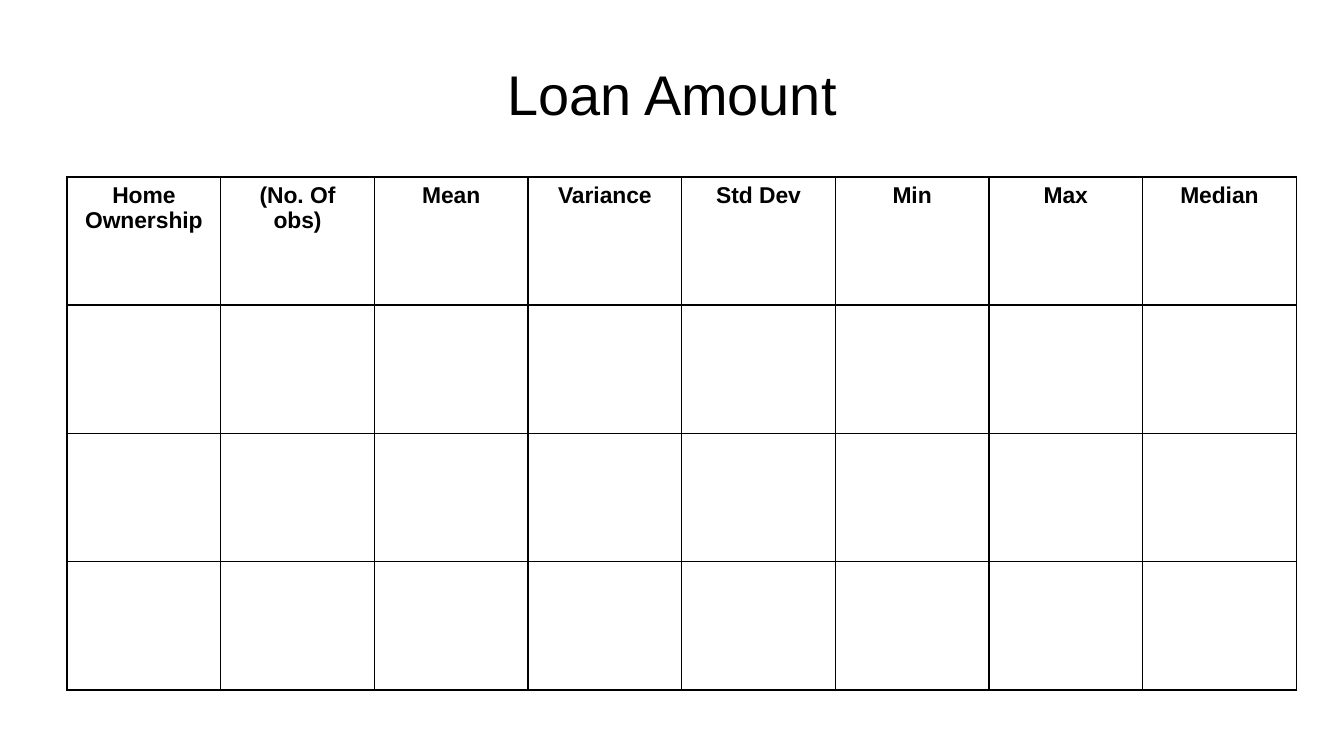
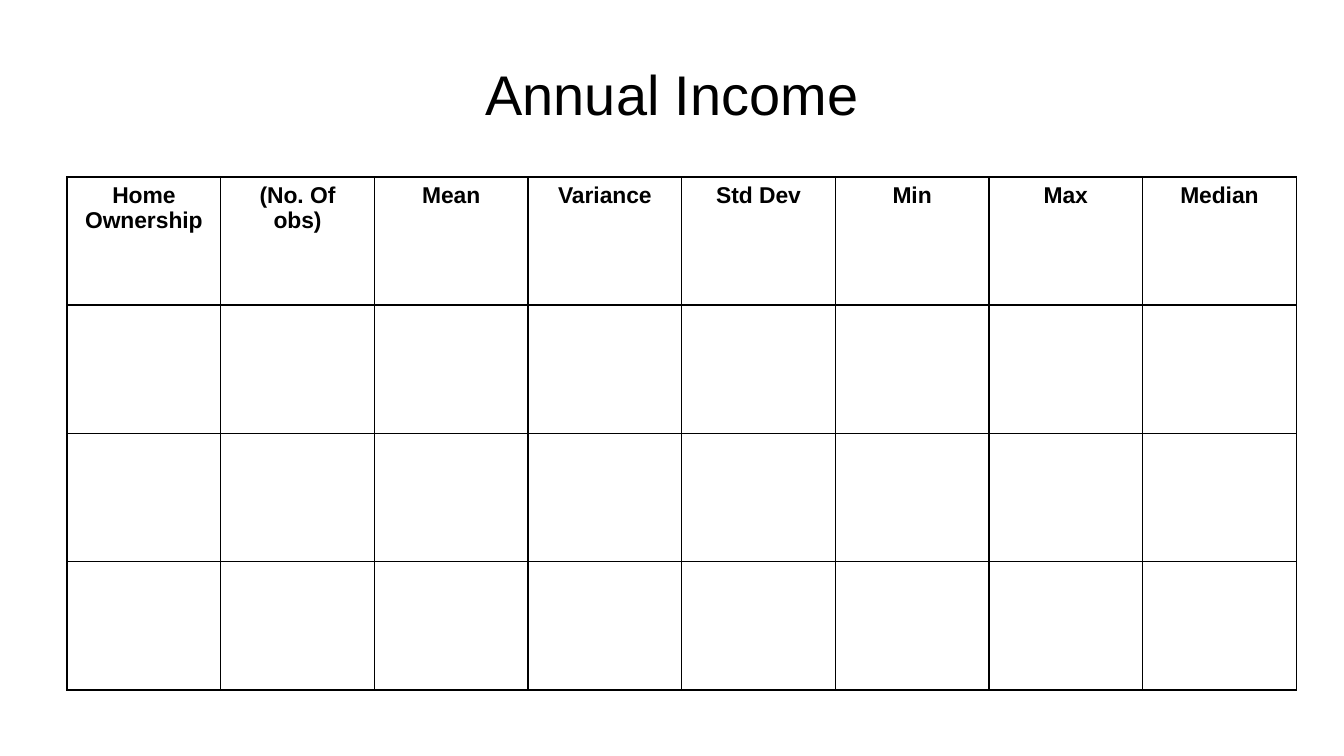
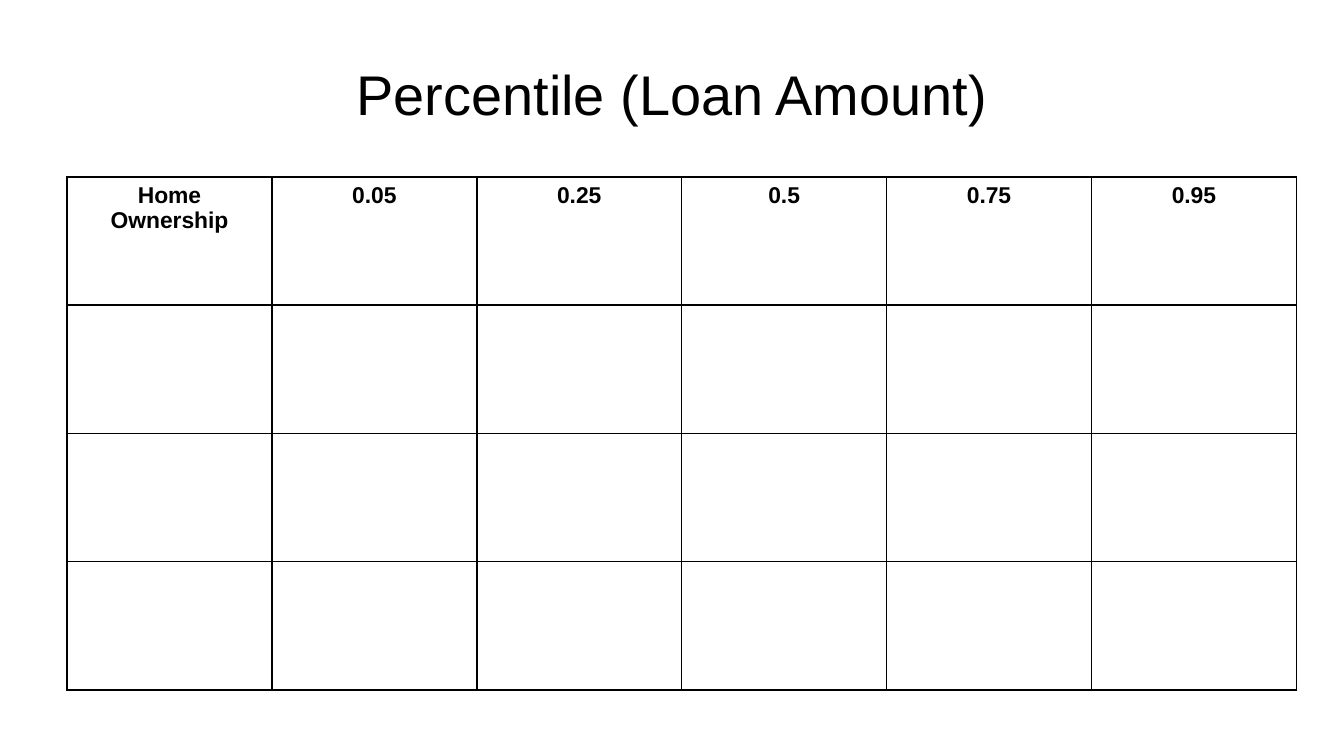
from dataclasses import dataclass

from lxml.etree import SubElement
from pptx import Presentation
from pptx.dml.color import RGBColor
from pptx.enum.text import MSO_ANCHOR, PP_ALIGN
from pptx.oxml.ns import qn
from pptx.util import Inches, Pt


@dataclass(frozen=True)
class Theme:
    font: str = "Arial"
    ink: str = "000000"
    paper: str = "FFFFFF"
    title_size: float = 33
    header_size: float = 13.5
    border: float = 1


theme = Theme()


def write_centred(text_frame, text, size, bold=False):
    text_frame.text = text
    para = text_frame.paragraphs[0]
    para.alignment = PP_ALIGN.CENTER
    font = para.runs[0].font
    font.name = theme.font
    font.size = Pt(size)
    font.bold = bold
    font.color.rgb = RGBColor.from_string(theme.ink)


def style_cell(cell):
    properties = cell._tc.get_or_add_tcPr()
    for side in ("a:lnL", "a:lnR", "a:lnT", "a:lnB"):
        line = SubElement(properties, qn(side), w=str(Pt(theme.border)))
        fill = SubElement(line, qn("a:solidFill"))
        SubElement(fill, qn("a:srgbClr"), val=theme.ink)
    cell.fill.solid()
    cell.fill.fore_color.rgb = RGBColor.from_string(theme.paper)


summary_headers = [
    "Home Ownership", "(No. Of obs)", "Mean", "Variance",
    "Std Dev", "Min", "Max", "Median",
]
percentile_headers = ["Home Ownership", "0.05", "0.25", "0.5", "0.75", "0.95"]
pages = [
    ("Loan Amount", summary_headers),
    ("Annual Income", summary_headers),
    ("Percentile (Loan Amount)", percentile_headers),
]
row_count = 4
left = Inches(0.55)
table_width, table_height = Inches(10.08), Inches(4.21)

deck = Presentation()
deck.slide_width, deck.slide_height = Inches(11.02), Inches(6.2)

for title, headers in pages:
    page = deck.slides.add_slide(deck.slide_layouts[6])
    page.background.fill.solid()
    page.background.fill.fore_color.rgb = RGBColor.from_string(theme.paper)

    title_box = page.shapes.add_textbox(left, Inches(0.24), Inches(9.92), Inches(1.04))
    frame = title_box.text_frame
    frame.word_wrap = True
    frame.vertical_anchor = MSO_ANCHOR.MIDDLE
    frame.margin_left = frame.margin_right = frame.margin_top = frame.margin_bottom = 0
    write_centred(frame, title, theme.title_size)

    table = page.shapes.add_table(
        row_count, len(headers), left, Inches(1.45), table_width, table_height
    ).table
    table.horz_banding = False
    for cell in table.iter_cells():
        style_cell(cell)
    for cell, header in zip(table.rows[0].cells, headers):
        write_centred(cell.text_frame, header, theme.header_size, bold=True)

deck.save("out.pptx")
